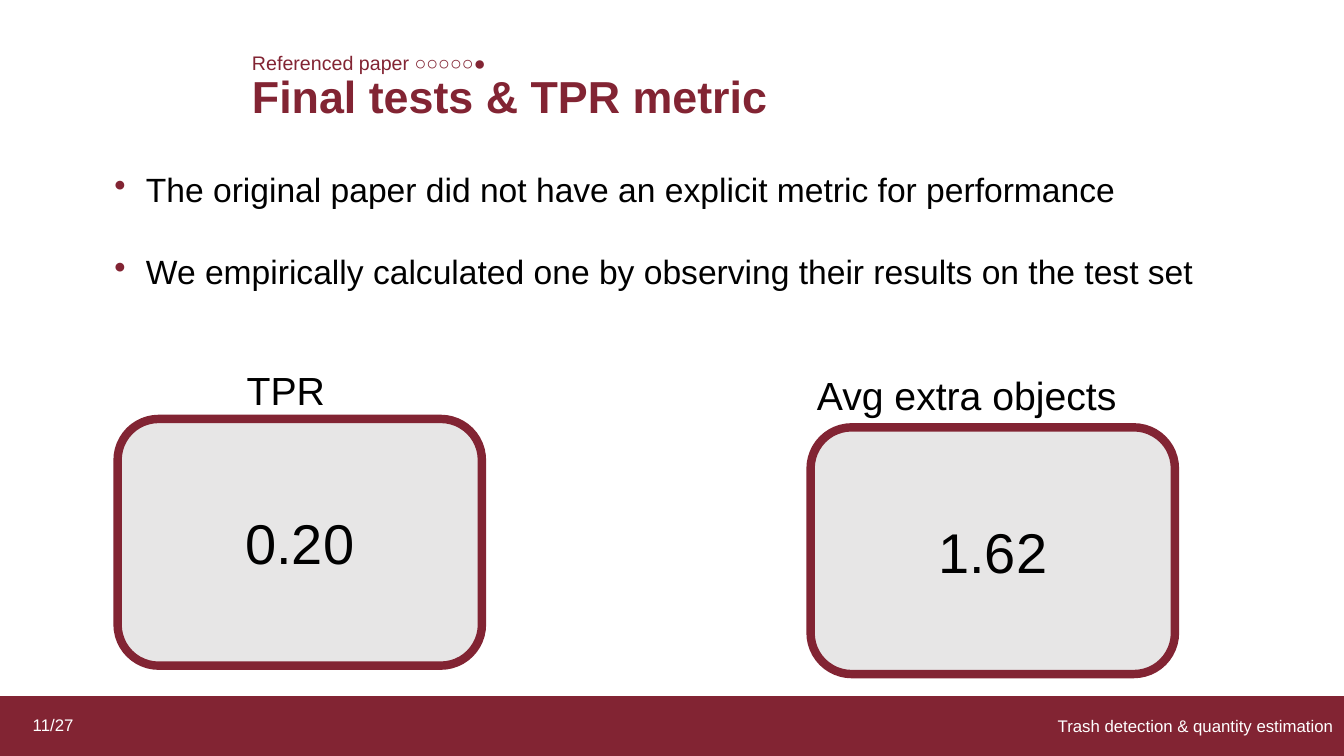
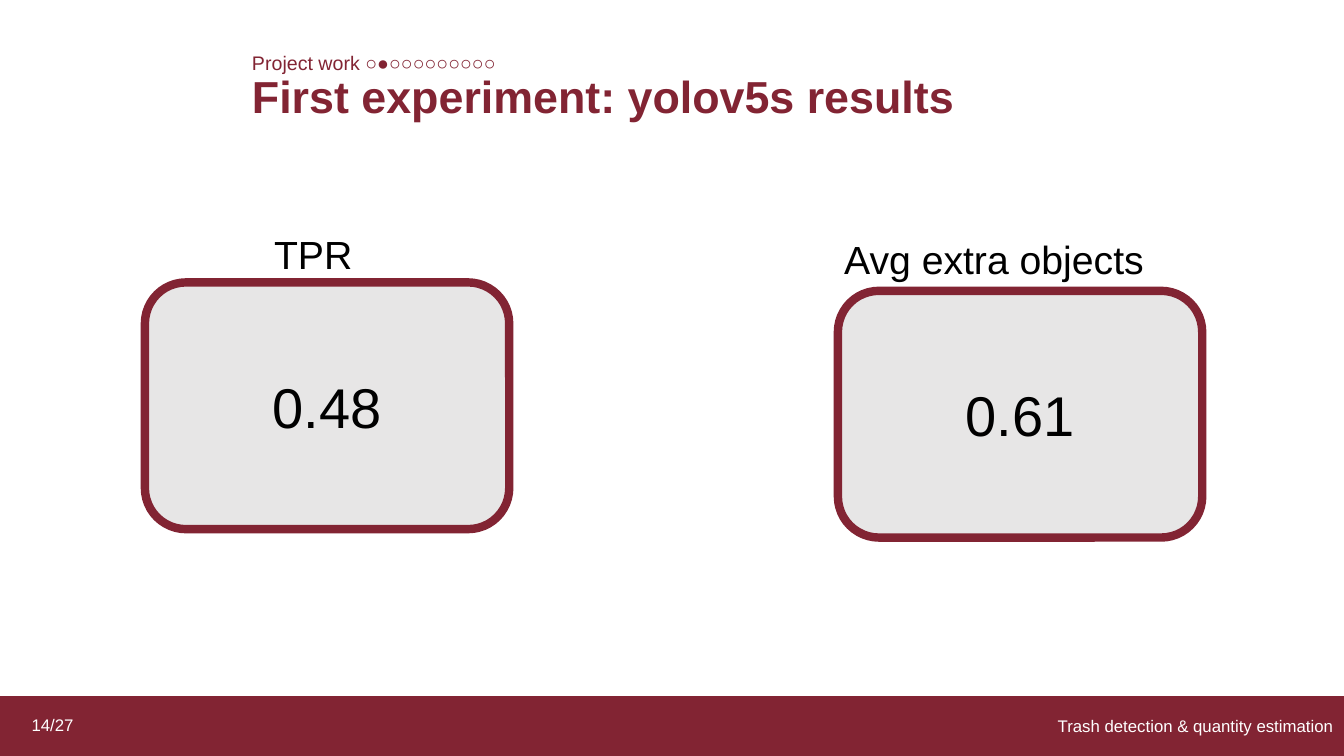
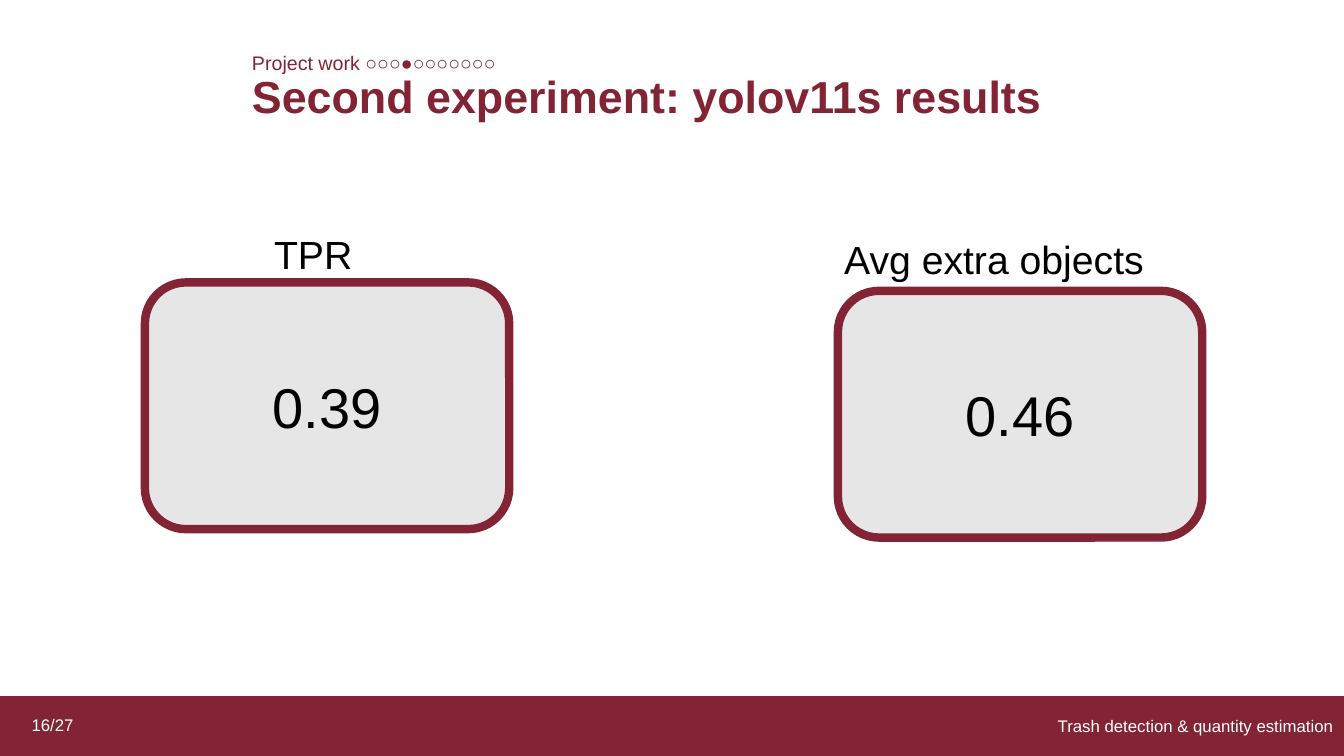
"""Build the three slides that report test metrics for trash detection."""
import dataclasses

import pptx
import pptx.dml.color
import pptx.enum.shapes
import pptx.enum.text
import pptx.oxml
import pptx.oxml.ns
import pptx.util

ALIGN = pptx.enum.text.PP_ALIGN
ANCHOR = pptx.enum.text.MSO_ANCHOR
SHAPE = pptx.enum.shapes.MSO_SHAPE


@dataclasses.dataclass(frozen=True)
class Theme:
    """Colours, type sizes and widths shared by all slides."""
    font: str = "Arial"
    maroon: str = "822433"
    grey: str = "E7E6E6"
    black: str = "000000"
    white: str = "FFFFFF"
    footer: int = 12
    section: int = 14
    body: int = 24
    label: int = 28
    title: int = 32
    value: int = 40
    outline: int = 6
    bullet_gap: int = 30


THEME = Theme()
FOOTER_TEXT = "Trash detection & quantity estimation"
PAGE_COUNT = 27
PAGE_WIDTH, PAGE_HEIGHT = 1280, 720
BULLET_INDENT = 30

SLIDES = [
    dict(number=11, section="Referenced paper ○○○○○●", title="Final tests & TPR metric",
         bullets=["The original paper did not have an explicit metric for performance",
                  "We empirically calculated one by observing their results on the test set"],
         metrics_at=(112, 399), tpr="0.20", extra="1.62"),
    dict(number=14, section="Project work ○●○○○○○○○○○", title="First experiment: yolov5s results",
         bullets=[], metrics_at=(138, 269), tpr="0.48", extra="0.61"),
    dict(number=16, section="Project work ○○○●○○○○○○○", title="Second experiment: yolov11s results",
         bullets=[], metrics_at=(138, 269), tpr="0.39", extra="0.46"),
]


def px(length):
    """Turn whole pixels into EMU at 96 pixels to the inch."""
    return pptx.util.Emu(length * 9525)


def rgb(color):
    """Turn a hex string into a colour."""
    return pptx.dml.color.RGBColor.from_string(color)


def add_bullet(para):
    """Give a paragraph a hanging maroon bullet."""
    props = para._p.get_or_add_pPr()
    props.set("marL", str(px(BULLET_INDENT)))
    props.set("indent", str(-px(BULLET_INDENT)))
    namespace = pptx.oxml.ns.nsdecls("a")
    for xml in (f'<a:buClr {namespace}><a:srgbClr val="{THEME.maroon}"/></a:buClr>',
                f'<a:buChar {namespace} char="•"/>'):
        props.append(pptx.oxml.parse_xml(xml))


def write_text(box, *lines, size, color=THEME.black, bold=False, align=ALIGN.LEFT,
               anchor=ANCHOR.TOP, inset=5, bullets=False, gap=0):
    """Write one paragraph for each line into a box."""
    frame = box.text_frame
    frame.word_wrap = True
    frame.vertical_anchor = anchor
    frame.margin_left = frame.margin_right = px(10)
    frame.margin_top = frame.margin_bottom = px(inset)
    for index, line in enumerate(lines):
        para = frame.paragraphs[0] if index == 0 else frame.add_paragraph()
        if index and gap:
            para.space_before = pptx.util.Pt(gap)
        if bullets:
            add_bullet(para)
        para.alignment = align
        span = para.add_run()
        span.text = line
        span.font.name = THEME.font
        span.font.size = pptx.util.Pt(size)
        span.font.bold = bold
        span.font.color.rgb = rgb(color)


def add_box(page, left, top, width, height):
    """Add an empty text box."""
    return page.shapes.add_textbox(px(left), px(top), px(width), px(height))


def add_panel(page, kind, left, top, width, height, fill, line=None):
    """Add a flat filled shape with an optional outline."""
    panel = page.shapes.add_shape(kind, px(left), px(top), px(width), px(height))
    panel.shadow.inherit = False
    panel.fill.solid()
    panel.fill.fore_color.rgb = rgb(fill)
    if line:
        panel.line.color.rgb = rgb(line)
        panel.line.width = pptx.util.Pt(THEME.outline)
    else:
        panel.line.fill.background()
    return panel


def add_footer(page, number, left, top, width, height):
    """Add the footer band with the page number and talk title."""
    style = dict(size=THEME.footer, color=THEME.white, align=ALIGN.RIGHT, anchor=ANCHOR.MIDDLE)
    band = add_panel(page, SHAPE.RECTANGLE, left, top, width, height, THEME.maroon)
    write_text(band, FOOTER_TEXT, **style)
    write_text(add_box(page, left, top - 1, 80, height), f"{number}/{PAGE_COUNT}", **style)


def add_heading(page, section, title, left, top, width):
    """Add the section progress line above the slide title."""
    write_text(add_box(page, left, top + 17, width, 61), title,
               size=THEME.title, color=THEME.maroon, bold=True)
    write_text(add_box(page, left, top, width // 2, 33), section,
               size=THEME.section, color=THEME.maroon)


def add_metric(page, label, value, left, top, label_left, label_top, label_width):
    """Add a value card with its label placed relative to the card."""
    card = add_panel(page, SHAPE.ROUNDED_RECTANGLE, left, top, 347, 235,
                     THEME.grey, THEME.maroon)
    write_text(card, value, size=THEME.value, align=ALIGN.CENTER,
               anchor=ANCHOR.MIDDLE, inset=10)
    write_text(add_box(page, left + label_left, top + label_top, label_width, 51), label,
               size=THEME.label, inset=10)


def add_metrics(page, tpr, extra, left, top):
    """Add the pair of metric cards."""
    add_metric(page, "TPR", tpr, left, top, 113, -60, 122)
    add_metric(page, "Avg extra objects", extra, left + 660, top + 8, -4, -63, 353)


def add_slide(deck, number, section, title, bullets, metrics_at, tpr, extra):
    """Add one results slide."""
    page = deck.slides.add_slide(deck.slide_layouts[6])
    add_footer(page, number, 0, 663, PAGE_WIDTH, 57)
    add_heading(page, section, title, 230, 43, 967)
    if bullets:
        write_text(add_box(page, 99, 156, 1068, 175), *bullets, size=THEME.body,
                   bullets=True, gap=THEME.bullet_gap)
    add_metrics(page, tpr, extra, *metrics_at)


def main():
    """Build and save the deck."""
    deck = pptx.Presentation()
    deck.slide_width, deck.slide_height = px(PAGE_WIDTH), px(PAGE_HEIGHT)
    for content in SLIDES:
        add_slide(deck, **content)
    deck.save("out.pptx")


if __name__ == "__main__":
    main()
